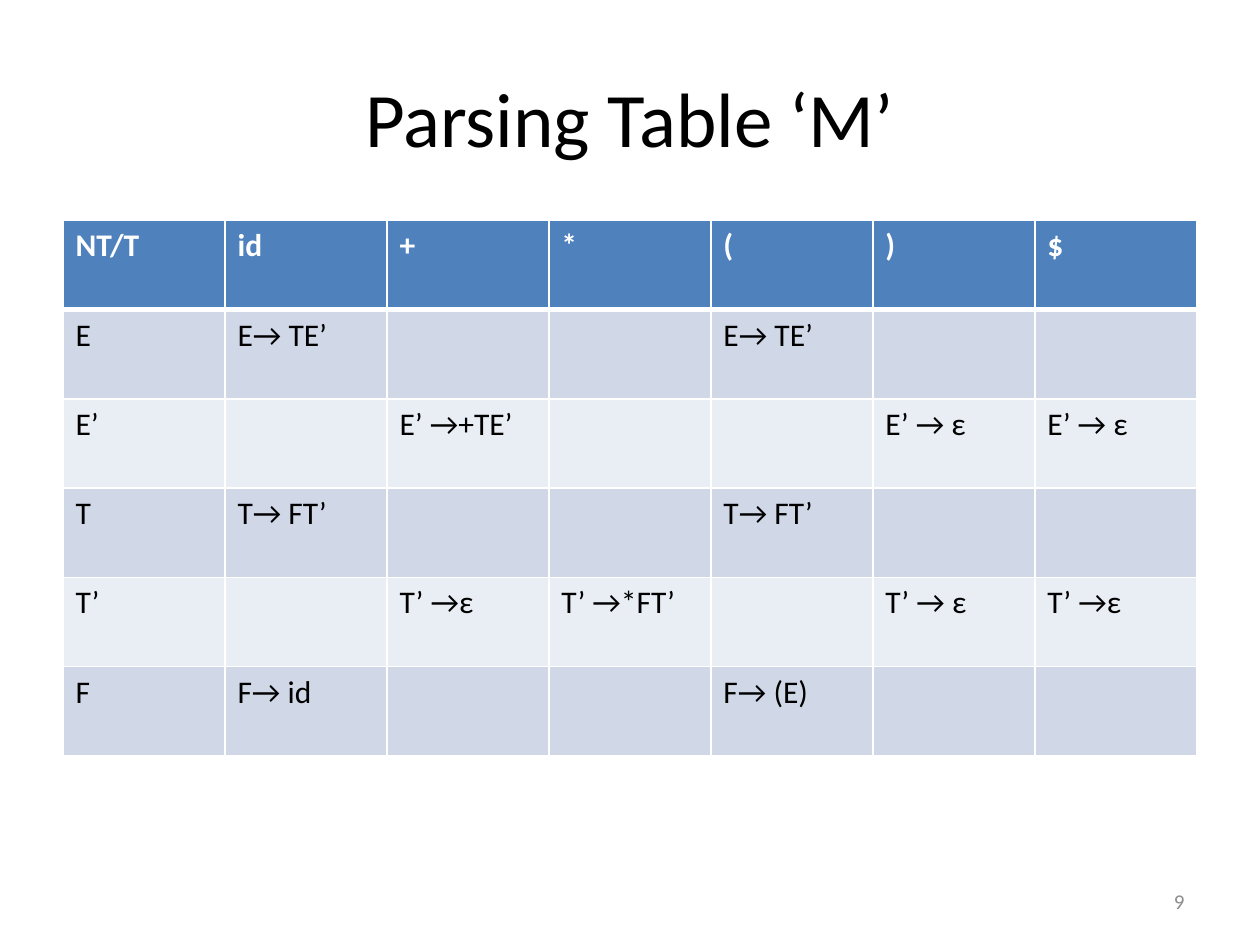
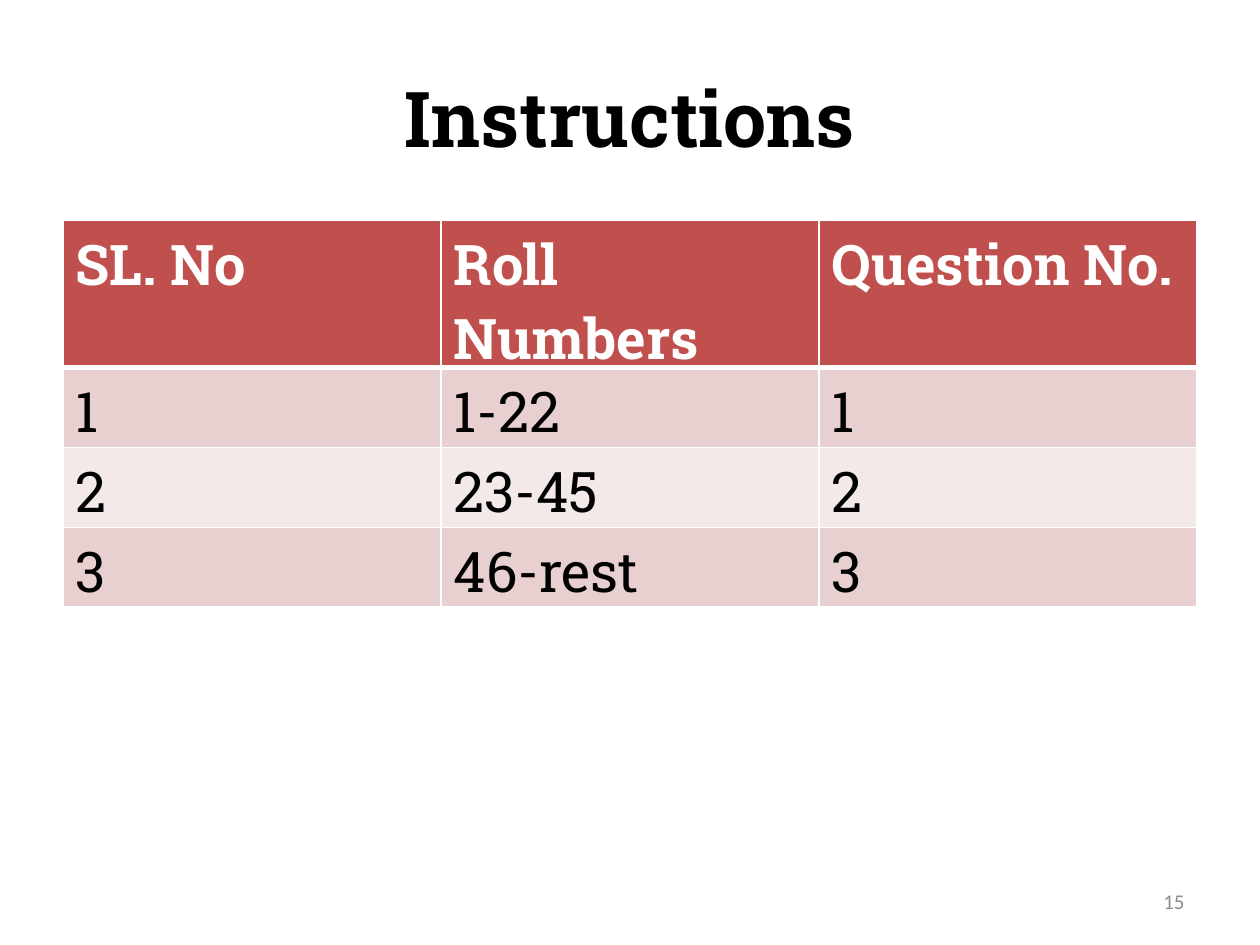
from dataclasses import dataclass

from lxml import etree
from pptx import Presentation
from pptx.dml.color import RGBColor
from pptx.enum.text import MSO_ANCHOR, PP_ALIGN
from pptx.oxml.ns import qn
from pptx.util import Pt

MIDDLE = MSO_ANCHOR.MIDDLE
LEFT, CENTER, RIGHT = PP_ALIGN.LEFT, PP_ALIGN.CENTER, PP_ALIGN.RIGHT


# Theme
@dataclass(frozen=True)
class Theme:
    sans: str = "Calibri"
    slab: str = "Roboto Slab"
    ink: str = "000000"
    white: str = "FFFFFF"
    gray: str = "8C8C8C"
    blue: tuple = ("4F81BD", "D0D8E8", "E9EDF4")  # head, odd row, even row
    red: tuple = ("C0504D", "E8D0D0", "F4E9E9")
    title: int = 44
    note: int = 12
    thin: int = 1
    thick: int = 3


THEME = Theme()


# Repeated elements, with lengths in points
@dataclass(frozen=True)
class Box:
    left: float
    top: float
    width: float
    height: float

    def spans(self) -> tuple:
        return tuple(map(Pt, (self.left, self.top, self.width, self.height)))


@dataclass(frozen=True)
class Page:
    title: str
    number: int
    font: str
    bold: bool
    size: int
    tints: tuple
    height: float
    head: float
    row: float
    rows: tuple


TITLE = Box(36, 21.6, 648, 90)
FOOT = Box(516, 500.4, 168, 28.8)
GRID_LEFT, GRID_TOP, GRID_WIDTH = 36, 126, 648

PAGES = (
    Page("Parsing Table ‘M’", 9, THEME.sans, False, 18, THEME.blue, 306, 51, 51, (
        ("NT/T", "id", "+", "*", "(", ")", "$"),
        ("E", "E→ TE’", "", "", "E→ TE’", "", ""),
        ("E’", "", "E’ →+TE’", "", "", "E’ → ε", "E’ → ε"),
        ("T", "T→ FT’", "", "", "T→ FT’", "", ""),
        ("T’", "", "T’ →ε", "T’ →*FT’", "", "T’ → ε", "T’ →ε"),
        ("F", "F→ id", "", "", "F→ (E)", "", ""),
    )),
    Page("Instructions", 15, THEME.slab, True, 32, THEME.red, 221, 24, 29.5, (
        ("SL. No", "Roll Numbers", "Question No."),
        ("1", "1-22", "1"),
        ("2", "23-45", "2"),
        ("3", "46-rest", "3"),
    )),
)


def write(frame, text: str, align, color: str, **form) -> None:
    """Put one formatted paragraph in a text frame."""
    line = frame.paragraphs[0]
    line.alignment = align
    font = line.font
    if text:
        run = line.add_run()
        run.text = text
        font = run.font
    for name, value in form.items():
        setattr(font, name, value)
    font.color.rgb = RGBColor.from_string(color)


def label(slide, box: Box, text: str, align, color: str, **form) -> None:
    frame = slide.shapes.add_textbox(*box.spans()).text_frame
    frame.word_wrap = True
    frame.vertical_anchor = MIDDLE
    write(frame, text, align, color, **form)


def edge(cell, top: int, base: int) -> None:
    """Draw the four white borders, which come before the fill."""
    props = cell._tc.get_or_add_tcPr()
    sides = {"L": THEME.thin, "R": THEME.thin, "T": top, "B": base}
    for place, (side, width) in enumerate(sides.items()):
        line = etree.Element(qn(f"a:ln{side}"), w=str(Pt(width)))
        fill = etree.SubElement(line, qn("a:solidFill"))
        etree.SubElement(fill, qn("a:srgbClr"), val=THEME.white)
        props.insert(place, line)


def grid(slide, page: Page) -> None:
    count = len(page.rows[0])
    box = Box(GRID_LEFT, GRID_TOP, GRID_WIDTH, page.height)
    shape = slide.shapes.add_table(len(page.rows), count, *box.spans())
    table = shape.table
    table.first_row = table.horz_banding = False
    for col in table.columns:
        col.width = Pt(GRID_WIDTH / count)
    for r, texts in enumerate(page.rows):
        head = r == 0
        table.rows[r].height = Pt(page.head if head else page.row)
        tint = page.tints[0 if head else 2 - r % 2]
        # The heavy rule lies between the head and the first row
        top = THEME.thick if r == 1 else THEME.thin
        base = THEME.thick if head else THEME.thin
        for c, text in enumerate(texts):
            cell = table.cell(r, c)
            cell.fill.solid()
            cell.fill.fore_color.rgb = RGBColor.from_string(tint)
            edge(cell, top, base)
            write(cell.text_frame, text, LEFT, THEME.white if head else THEME.ink,
                  name=page.font, size=Pt(page.size), bold=head)
    shape.height = Pt(page.height)


def main() -> None:
    deck = Presentation()
    deck.slide_width, deck.slide_height = Pt(720), Pt(540)
    blank = deck.slide_layouts[6]
    for page in PAGES:
        slide = deck.slides.add_slide(blank)
        label(slide, TITLE, page.title, CENTER, THEME.ink,
              name=page.font, size=Pt(THEME.title), bold=page.bold)
        grid(slide, page)
        label(slide, FOOT, str(page.number), RIGHT, THEME.gray,
              name=THEME.sans, size=Pt(THEME.note))
    deck.save("out.pptx")


if __name__ == "__main__":
    main()
